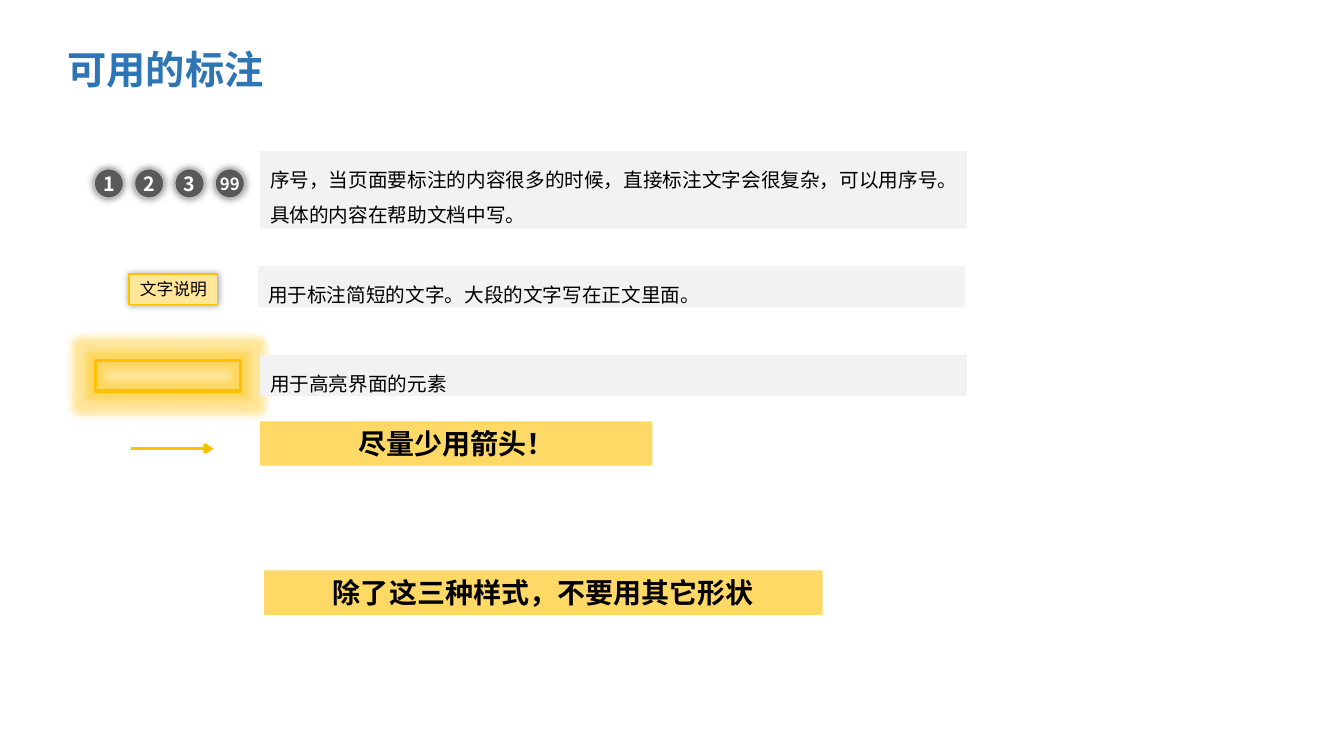
from lxml import etree
from pptx import Presentation
from pptx.dml.color import RGBColor
from pptx.enum.shapes import MSO_CONNECTOR, MSO_SHAPE
from pptx.enum.text import MSO_ANCHOR, MSO_AUTO_SIZE, PP_ALIGN
from pptx.oxml import parse_xml
from pptx.oxml.ns import nsdecls, qn
from pptx.util import Inches, Pt

RECTANGLE, OVAL = MSO_SHAPE.RECTANGLE, MSO_SHAPE.OVAL
STRAIGHT = MSO_CONNECTOR.STRAIGHT
LEFT, CENTER = PP_ALIGN.LEFT, PP_ALIGN.CENTER
TOP, MIDDLE = MSO_ANCHOR.TOP, MSO_ANCHOR.MIDDLE
FIXED, GROW = MSO_AUTO_SIZE.NONE, MSO_AUTO_SIZE.SHAPE_TO_FIT_TEXT

FONT = "Noto Sans CJK SC"
BLACK = RGBColor(0x00, 0x00, 0x00)
WHITE = RGBColor(0xFF, 0xFF, 0xFF)
BLUE = RGBColor(0x2E, 0x75, 0xB6)
DARK_GRAY = RGBColor(0x59, 0x59, 0x59)
MID_GRAY = RGBColor(0xBF, 0xBF, 0xBF)
PALE_GRAY = RGBColor(0xF2, 0xF2, 0xF2)
AMBER = RGBColor(0xFF, 0xC0, 0x00)
YELLOW = RGBColor(0xFF, 0xD9, 0x66)
PALE_YELLOW = RGBColor(0xFF, 0xE6, 0x99)

NO_INSETS = dict.fromkeys(
    ("margin_left", "margin_top", "margin_right", "margin_bottom"), 0)
BADGE_FRAME = {**NO_INSETS, "vertical_anchor": MIDDLE, "word_wrap": False}
LABEL_FRAME = {"vertical_anchor": MIDDLE, "word_wrap": False, "auto_size": GROW}
BOX_FRAME = {"vertical_anchor": TOP, "word_wrap": True, "auto_size": GROW}

SOFT_SHADOW = (
    f'<a:outerShdw {nsdecls("a")} blurRad="63500" dist="0" dir="0" '
    'algn="ctr" rotWithShape="0"><a:srgbClr val="000000">'
    '<a:alpha val="40000"/></a:srgbClr></a:outerShdw>')
AMBER_GLOW = (
    f'<a:glow {nsdecls("a")} rad="139700"><a:srgbClr val="FFC000">'
    '<a:alpha val="40000"/></a:srgbClr></a:glow>')

BADGES = [("1", 14), ("2", 14), ("3", 14), ("99", 12)]
DESCRIPTIONS = [
    (2.58, 1.5, 0.77, "序号，当页面要标注的内容很多的时候，直接标注文字会很复杂，"
                      "可以用序号。具体的内容在帮助文档中写。"),
    (2.56, 2.64, 0.41, "用于标注简短的文字。大段的文字写在正文里面。"),
    (2.58, 3.52, 0.41, "用于高亮界面的元素"),
]
WARNINGS = [
    (2.58, 4.18, 3.89, "尽量少用箭头！"),
    (2.62, 5.66, 5.54, "除了这三种样式，不要用其它形状"),
]


def apply(target, values):
    for key, value in values.items():
        setattr(target, key, value)


def write(shape, text, size, color, bold=False, align=LEFT, spacing=1.0, frame=BOX_FRAME):
    apply(shape.text_frame, frame)
    paragraph = shape.text_frame.paragraphs[0]
    apply(paragraph, {"alignment": align, "line_spacing": spacing})
    run = paragraph.add_run()
    run.text = text
    apply(run.font, {"size": Pt(size), "bold": bold, "name": FONT})
    run.font.color.rgb = color
    east_asian = etree.SubElement(run.font._element, qn("a:ea"))
    east_asian.set("typeface", FONT)


def add_block(slide, kind, bounds, fill=None, line=None, line_width=0, effect=None):
    block = slide.shapes.add_shape(kind, *map(Inches, bounds))
    if fill is None:
        block.fill.background()
    else:
        block.fill.solid()
        block.fill.fore_color.rgb = fill
    if line is None:
        block.line.fill.background()
    else:
        block.line.color.rgb = line
        block.line.width = Pt(line_width)
    block.shadow.inherit = False
    if effect:
        block._element.spPr.find(qn("a:effectLst")).append(parse_xml(effect))
    return block


def add_title(slide, text):
    title = slide.shapes.title
    apply(title, {"left": Inches(0.67), "top": Inches(0.5),
                  "width": Inches(12), "height": Inches(0.51)})
    frame = {**NO_INSETS, "vertical_anchor": TOP, "word_wrap": True, "auto_size": FIXED}
    write(title, text, 28, BLUE, bold=True, spacing=0.9, frame=frame)


def add_badge(slide, index, number, size):
    badge = add_block(slide, OVAL, (0.93 + 0.4 * index, 1.67, 0.3, 0.3),
                      DARK_GRAY, MID_GRAY, 1.5, SOFT_SHADOW)
    write(badge, number, size, WHITE, bold=True, align=CENTER, frame=BADGE_FRAME)


def add_arrow(slide, left, right, y):
    arrow = slide.shapes.add_connector(
        STRAIGHT, Inches(left), Inches(y), Inches(right), Inches(y))
    arrow.line.color.rgb = AMBER
    arrow.line.width = Pt(2.25)
    properties = arrow._element.spPr
    etree.SubElement(properties.find(qn("a:ln")), qn("a:tailEnd")).set("type", "arrow")
    etree.SubElement(properties, qn("a:effectLst"))


def main():
    presentation = Presentation()
    presentation.slide_width = Inches(13.33)
    presentation.slide_height = Inches(7.5)
    slide = presentation.slides.add_slide(presentation.slide_layouts[5])

    add_title(slide, "可用的标注")
    for index, (number, size) in enumerate(BADGES):
        add_badge(slide, index, number, size)

    label = add_block(slide, RECTANGLE, (1.28, 2.72, 0.88, 0.3),
                      PALE_YELLOW, AMBER, 1, SOFT_SHADOW)
    write(label, "文字说明", 12, BLACK, align=CENTER, frame=LABEL_FRAME)
    add_block(slide, RECTANGLE, (0.95, 3.58, 1.44, 0.3),
              line=AMBER, line_width=2.25, effect=AMBER_GLOW)
    add_arrow(slide, 1.3, 2.12, 4.45)

    for left, top, height, text in DESCRIPTIONS:
        description = add_block(slide, RECTANGLE, (left, top, 7.01, height), PALE_GRAY)
        write(description, text, 14, BLACK, spacing=1.5)
    for left, top, width, text in WARNINGS:
        warning = add_block(slide, RECTANGLE, (left, top, width, 0.44), YELLOW)
        write(warning, text, 20, BLACK, bold=True, align=CENTER)

    presentation.save("out.pptx")


if __name__ == "__main__":
    main()
